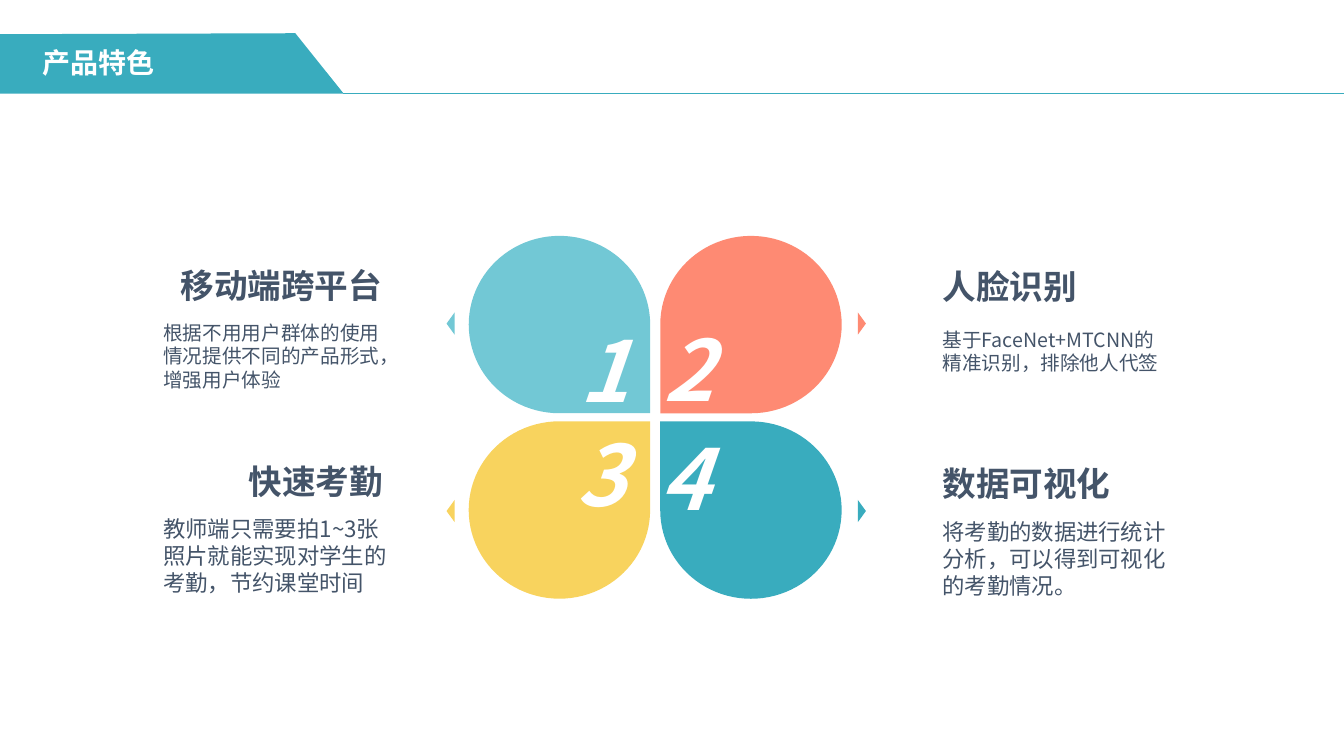
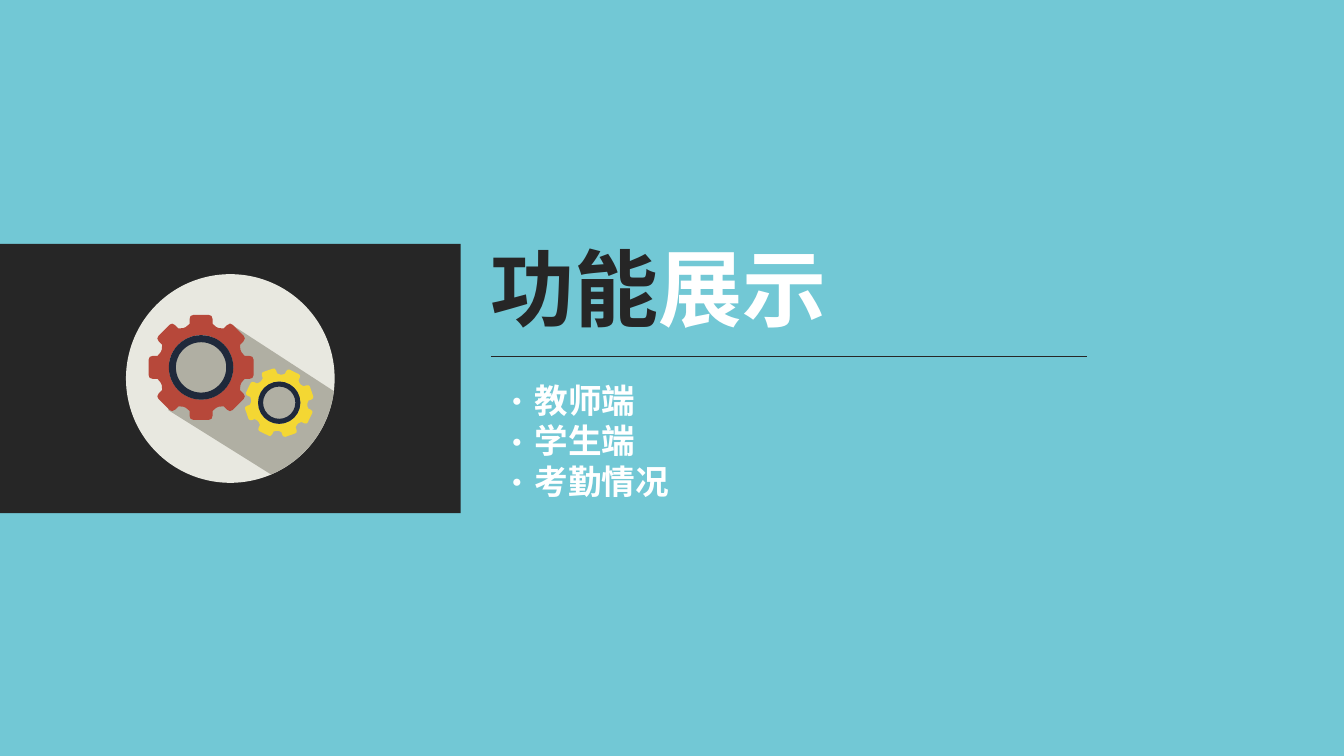
from math import cos, radians, sin

from lxml.etree import SubElement
from pptx import Presentation
from pptx.dml.color import RGBColor
from pptx.enum.shapes import MSO_CONNECTOR, MSO_SHAPE as SHAPE
from pptx.enum.text import MSO_AUTO_SIZE, PP_ALIGN as ALIGN
from pptx.oxml.ns import qn
from pptx.util import Emu, Inches, Pt

PX = 9144  # 100 px to the inch
FONT = "Noto Sans CJK SC"
COLORS = {
    "white": "FFFFFF", "teal": "39ACBE", "sky": "72C8D5", "coral": "FE8A73",
    "yellow": "F8D35E", "slate": "445469", "dark": "262626", "plate": "E8E8E0",
    "shade": "B0AFA3", "red": "B7483A", "navy": "1F293B", "gold": "F4D733",
}
# Half of a gear tooth pointing right, from root to tip, for a gear of radius 1
TOOTH = [(0.77, 0.29), (0.83, 0.22), (0.92, 0.22), (0.98, 0.2), (1, 0.15)]


def px(length):
    return Emu(round(length * PX))


def color(name):
    return RGBColor.from_string(COLORS[name])


def arc(cx, cy, radius, start=0, end=360, step=5):
    return [(cx + radius * cos(radians(a)), cy + radius * sin(radians(a)))
            for a in range(start, end + 1, step)]


def gear_outline(cx, cy, radius, tilt, teeth=8):
    tooth = [(x, -y) for x, y in TOOTH] + TOOTH[::-1]
    points = []
    for number in range(teeth):
        angle = radians(tilt + number * 360 / teeth)
        points += [(cx + radius * (x * cos(angle) - y * sin(angle)),
                    cy + radius * (x * sin(angle) + y * cos(angle)))
                   for x, y in tooth]
    return points


class Deck:
    def __init__(self):
        self.prs = Presentation()
        self.prs.slide_width, self.prs.slide_height = Inches(13.333), Inches(7.5)
        self.slide = None

    def new_slide(self, background):
        self.slide = self.prs.slides.add_slide(self.prs.slide_layouts[6])
        fill = self.slide.background.fill
        fill.solid()
        fill.fore_color.rgb = color(background)

    def paint(self, shape, fill):
        shape.shadow.inherit = False
        shape.fill.solid()
        shape.fill.fore_color.rgb = color(fill)
        shape.line.fill.background()
        return shape

    def shape(self, kind, cx, cy, width, height, fill, rotation=0):
        """Place a preset shape by its centre, sized before rotation."""
        shape = self.slide.shapes.add_shape(
            kind, px(cx - width / 2), px(cy - height / 2), px(width), px(height))
        shape.rotation = rotation
        return self.paint(shape, fill)

    def outline(self, fill, *contours):
        """Fill the first contour; later ones are holes in it."""
        builder = None
        for contour in contours:
            start, *rest = [(px(x), px(y)) for x, y in contour]
            if builder is None:
                builder = self.slide.shapes.build_freeform(*start, scale=1.0)
            else:
                builder.move_to(*start)
            builder.add_line_segments(rest, close=True)
        return self.paint(builder.convert_to_shape(), fill)

    def line(self, x1, x2, y, ink, points):
        line = self.slide.shapes.add_connector(
            MSO_CONNECTOR.STRAIGHT, px(x1), px(y), px(x2), px(y))
        line.line.color.rgb = color(ink)
        line.line.width = Pt(points)
        SubElement(line._element.spPr, qn("a:effectLst"))

    def text(self, left, top, width, height, paragraphs, size, bold=False,
             italic=False, align=ALIGN.LEFT, inset=True, bullet=None):
        """Each paragraph is a list of (words, colour) runs."""
        box = self.slide.shapes.add_textbox(px(left), px(top), px(width), px(height))
        frame = box.text_frame
        frame.word_wrap = True
        frame.auto_size = MSO_AUTO_SIZE.SHAPE_TO_FIT_TEXT
        if not inset:
            frame.margin_left = frame.margin_right = 0
            frame.margin_top = frame.margin_bottom = 0
        for index, runs in enumerate(paragraphs):
            paragraph = frame.paragraphs[0] if index == 0 else frame.add_paragraph()
            paragraph.alignment = align
            if bullet:
                self.bullet(paragraph, bullet, Pt(size))
            for words, ink in runs:
                run = paragraph.add_run()
                run.text = words
                font = run.font
                font.size, font.bold, font.italic = Pt(size), bold, italic
                font.color.rgb = color(ink)
                font.name = FONT
                SubElement(font._element, qn("a:ea"), typeface=FONT)

    def bullet(self, paragraph, mark, indent):
        properties = paragraph._p.get_or_add_pPr()
        properties.set("marL", str(indent))
        properties.set("indent", str(-indent))
        SubElement(properties, qn("a:buFont"), typeface=FONT)
        SubElement(properties, qn("a:buChar"), char=mark)

    def header(self, title):
        self.outline("teal", [(0, 34), (293, 33), (341, 93), (0, 93)])
        self.line(340, 1333, 92, "teal", 0.25)
        self.text(32, 40, 258, 44, [[(title, "white")]], 20, bold=True)

    def gear(self, cx, cy, radius, tilt, fill, ring, hole):
        """Draw a toothed wheel with a navy ring around its hole."""
        self.outline(fill, gear_outline(cx, cy, radius, tilt), arc(cx, cy, ring))
        rim = self.shape(SHAPE.DONUT, cx, cy, 2 * ring, 2 * ring, "navy")
        rim.adjustments[0] = (ring - hole) / (2 * ring)


def features_slide(deck):
    deck.new_slide("white")
    deck.header("产品特色")
    columns, rows = (555, 745), (322, 506)
    petals = [  # column, row, rotation, colour, number's left and top
        (0, 0, 90, "sky", 565, 311), (1, 0, 180, "coral", 648, 310),
        (0, 1, 0, "yellow", 562, 414), (1, 1, 270, "teal", 644, 418),
    ]
    for number, (column, row, rotation, fill, left, top) in enumerate(petals, 1):
        size = (176, 180) if rotation % 180 else (180, 176)
        deck.shape(SHAPE.TEAR, columns[column], rows[row], *size, fill, rotation)
        deck.shape(SHAPE.ISOSCELES_TRIANGLE, (447, 855)[column], (321, 507)[row],
                   22, 8, fill, (270, 90)[column])
        deck.text(left, top, 77, 111, [[(str(number), "white")]], 60,
                  bold=True, italic=True)

    features = [  # heading and its box, body, its box and text size
        ("移动端跨平台", (127, 263, 252, 40), ALIGN.RIGHT,
         "根据不用用户群体的使用情况提供不同的产品形式，增强用户体验",
         (162, 318, 225, 71), 14),
        ("人脸识别", (935, 264, 142, 40), ALIGN.LEFT,
         "基于FaceNet+MTCNN的精准识别，排除他人代签", (935, 325, 225, 47), 14),
        ("快速考勤", (184, 457, 196, 40), ALIGN.RIGHT,
         "教师端只需要拍1~3张照片就能实现对学生的考勤，节约课堂时间",
         (162, 511, 225, 81), 16),
        ("数据可视化", (935, 459, 194, 40), ALIGN.LEFT,
         "将考勤的数据进行统计分析，可以得到可视化的考勤情况。",
         (935, 514, 236, 81), 16),
    ]
    for heading, heading_box, align, body, body_box, size in features:
        deck.text(*heading_box, [[(heading, "slate")]], 24, bold=True,
                  align=align, inset=False)
        deck.text(*body_box, [[(body, "slate")]], size, inset=False)


def section_slide(deck):
    deck.new_slide("sky")
    deck.shape(SHAPE.RECTANGLE, 228.5, 375.5, 457, 267, "dark")
    deck.text(477, 230, 618, 111, [[("功能", "dark"), ("展示", "white")]], 60, bold=True)
    topics = ["教师端", "学生端", "考勤情况"]
    deck.text(487, 372, 592, 131, [[(topic, "white")] for topic in topics], 24,
              bold=True, bullet="·")
    deck.line(487, 1078, 354, "dark", 0.5)

    plate = (228.5, 375.5, 103.5)
    deck.shape(SHAPE.OVAL, *plate[:2], 207, 207, "plate")
    gear_edge = [(228, 321), (220, 334), (172, 343), (167, 362), (167, 407)]
    deck.outline("shade", gear_edge + arc(*plate, 7, 68)[::-1])
    deck.gear(199.5, 364.5, 52, 0, "red", 32, 25)
    deck.gear(277, 399.5, 34, 26, "gold", 21, 16)


def main():
    deck = Deck()
    features_slide(deck)
    section_slide(deck)
    deck.prs.save("out.pptx")


if __name__ == "__main__":
    main()
